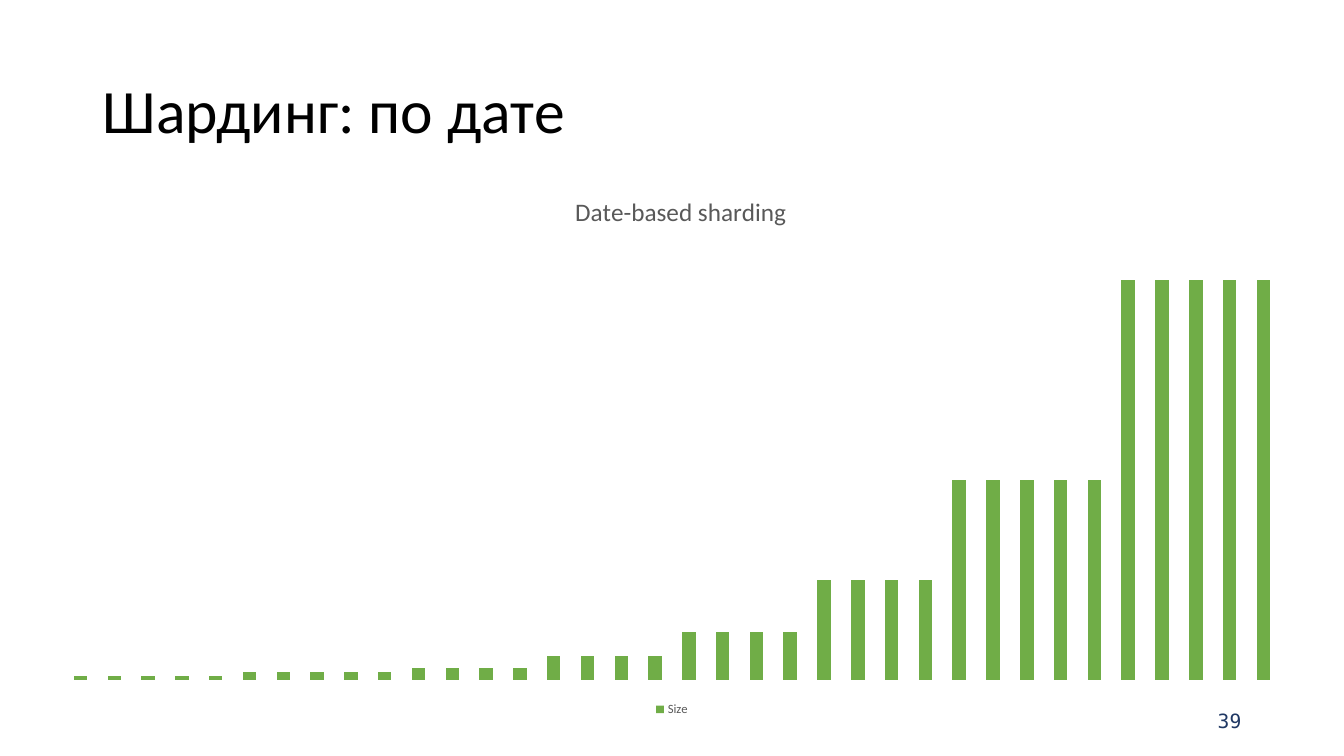
from dataclasses import dataclass
from itertools import chain, repeat

from lxml.etree import SubElement
from pptx import Presentation
from pptx.chart.data import CategoryChartData
from pptx.dml.color import RGBColor
from pptx.enum.chart import XL_CHART_TYPE as ChartType, XL_LEGEND_POSITION as LegendPosition
from pptx.enum.text import MSO_ANCHOR as Anchor, PP_ALIGN as Align
from pptx.oxml.ns import qn
from pptx.util import Emu, Pt

PX = 9144  # EMU per px, 100 px to the inch


@dataclass(frozen=True)
class Theme:
    sans: str = "Calibri"
    mono: str = "DejaVu Sans Mono"
    black: str = "000000"
    navy: str = "203864"
    grey: str = "595959"
    green: str = "70AD47"
    heading: int = 44
    chart_title: int = 18
    number: int = 14
    body: int = 10
    legend: int = 9


@dataclass(frozen=True)
class Box:
    left: int
    top: int
    width: int
    height: int

    def emu(self) -> list[Emu]:
        return [Emu(n * PX) for n in (self.left, self.top, self.width, self.height)]


@dataclass(frozen=True)
class Label:
    text: str
    box: Box
    size: int
    font: str
    color: str
    align: Align = Align.LEFT
    spacing: float = 1.0


THEME = Theme()
CHART_BOX = Box(38, 166, 1257, 549)
LABELS = [
    Label("Шардинг: по дате", Box(92, 40, 1150, 145), THEME.heading,
          THEME.sans, THEME.black, spacing=0.9),
    Label("39", Box(942, 695, 299, 40), THEME.number,
          THEME.mono, THEME.navy, Align.RIGHT),
]
# Shard size and the number of consecutive dates that have it
SIZE_RUNS = [(1, 5), (2, 5), (3, 4), (6, 4), (12, 4), (25, 4), (50, 5), (100, 5)]


def set_values(target, values: dict) -> None:
    for name, value in values.items():
        setattr(target, name, value)


def style_font(font, size: int, name: str, color: str) -> None:
    set_values(font, {"size": Pt(size), "name": name, "bold": False})
    font.color.rgb = RGBColor.from_string(color)


def add_label(page, label: Label) -> None:
    frame = page.shapes.add_textbox(*label.box.emu()).text_frame
    set_values(frame, {"word_wrap": True, "vertical_anchor": Anchor.MIDDLE})
    para = frame.paragraphs[0]
    set_values(para, {"alignment": label.align, "line_spacing": label.spacing})
    span = para.add_run()
    span.text = label.text
    style_font(span.font, label.size, label.font, label.color)


def set_layout(layout, values: dict) -> None:
    """Place a chart part by fractions of the chart area."""
    manual = SubElement(layout, qn("c:manualLayout"))
    for tag, value in values.items():
        SubElement(manual, qn(f"c:{tag}")).set("val", str(value))


def add_size_chart(page) -> None:
    sizes = list(chain.from_iterable(repeat(size, count) for size, count in SIZE_RUNS))
    data = CategoryChartData()
    data.categories = [str(day) for day in range(1, len(sizes) + 1)]
    data.add_series("Size", sizes)
    chart = page.shapes.add_chart(
        ChartType.COLUMN_CLUSTERED, *CHART_BOX.emu(), data).chart
    style_font(chart.font, THEME.body, THEME.sans, THEME.black)

    # Chart title
    span = chart.chart_title.text_frame.paragraphs[0].add_run()
    span.text = "Date-based sharding"
    style_font(span.font, THEME.chart_title, THEME.sans, THEME.grey)
    title = chart.chart_title._element
    set_layout(title.get_or_add_layout() if hasattr(title, "get_or_add_layout")
               else title.find(qn("c:layout")),
               {"xMode": "edge", "yMode": "edge", "x": 0.42, "y": 0.04})

    # Hidden axes and plot
    for axis in (chart.category_axis, chart.value_axis):
        set_values(axis, {"visible": False, "has_major_gridlines": False})
    set_values(chart.value_axis, {"minimum_scale": 0, "maximum_scale": 100})
    plot = chart.plots[0]
    set_values(plot, {"gap_width": 150, "vary_by_categories": False})
    fill = plot.series[0].format.fill
    fill.solid()
    fill.fore_color.rgb = RGBColor.from_string(THEME.green)
    area = chart._chartSpace.chart.plotArea
    layout = area.find(qn("c:layout"))
    if layout is None:
        layout = SubElement(area, qn("c:layout"))
        area.insert(0, layout)
    set_layout(layout, {"layoutTarget": "inner", "xMode": "edge", "yMode": "edge",
                        "x": 0.02, "y": 0.204, "w": 0.96, "h": 0.723})

    # Legend
    chart.has_legend = True
    set_values(chart.legend, {"position": LegendPosition.BOTTOM, "include_in_layout": False})
    style_font(chart.legend.font, THEME.legend, THEME.sans, THEME.grey)


def main() -> None:
    deck = Presentation()
    set_values(deck, {"slide_width": Emu(1333 * PX), "slide_height": Emu(750 * PX)})
    page = deck.slides.add_slide(deck.slide_layouts[6])
    for label in LABELS:
        add_label(page, label)
    add_size_chart(page)
    deck.save("out.pptx")


if __name__ == "__main__":
    main()
